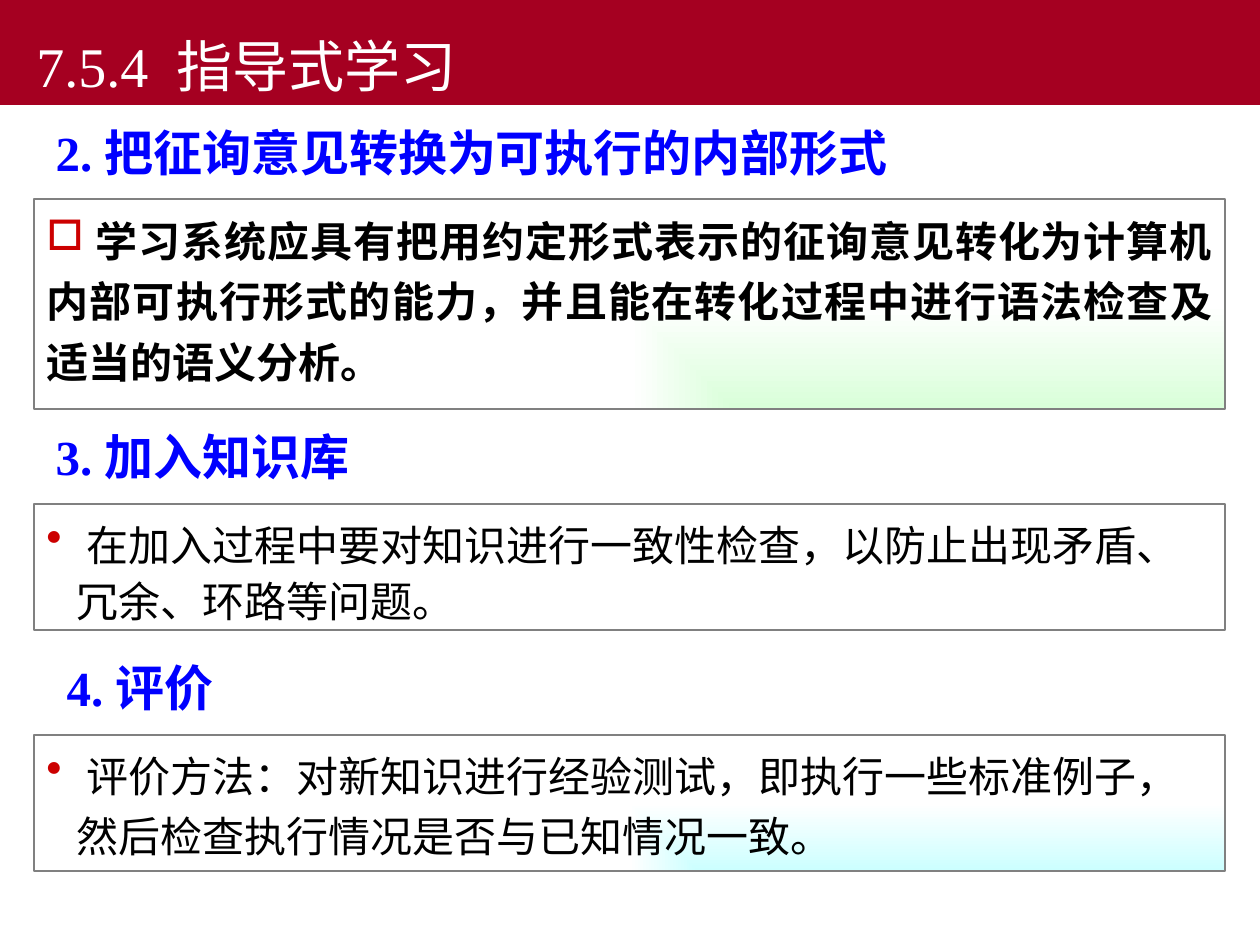
from lxml import etree
from pptx import Presentation
from pptx.dml.color import RGBColor
from pptx.enum.shapes import MSO_SHAPE
from pptx.enum.text import MSO_ANCHOR, PP_ALIGN
from pptx.oxml import parse_xml
from pptx.oxml.ns import nsdecls, qn
from pptx.util import Pt

RECTANGLE = MSO_SHAPE.RECTANGLE
TOP, BOTTOM = MSO_ANCHOR.TOP, MSO_ANCHOR.BOTTOM
LEFT, JUSTIFY = PP_ALIGN.LEFT, PP_ALIGN.JUSTIFY
PX = 914400 / 126
SERIF, SANS, CJK = "Times New Roman", "Arial", "Noto Sans CJK SC"
COLORS = {
    "banner": "A50021", "white": "FFFFFF", "black": "000000",
    "heading": "0000FF", "bullet": "CC0000", "border": "808080",
    "green": "D9FFD9", "cyan": "CCFFFF",
}


def px(value):
    return round(value * PX)


def write(box, spans, color="black", bold=False, align=LEFT, spacing=1.0,
          bullet=None, margin=0, indent=0, anchor=TOP):
    """Fill a box with one paragraph made of (text, size, font) spans."""
    frame = box.text_frame
    frame.word_wrap = True
    frame.vertical_anchor = anchor
    para = frame.paragraphs[0]
    para.alignment = align
    para.line_spacing = spacing
    props = para._p.get_or_add_pPr()
    props.set("marL", str(px(margin)))
    props.set("indent", str(px(indent)))
    if bullet:
        tint = etree.SubElement(props, qn("a:buClr"))
        etree.SubElement(tint, qn("a:srgbClr")).set("val", COLORS["bullet"])
        etree.SubElement(props, qn("a:buChar")).set("char", bullet)
    for text, size, font in spans:
        span = para.add_run()
        span.text = text
        span.font.size = Pt(size)
        span.font.bold = bold
        span.font.name = font
        span.font.color.rgb = RGBColor.from_string(COLORS[color])
        east_asian = etree.SubElement(span._r.get_or_add_rPr(), qn("a:ea"))
        east_asian.set("typeface", CJK)


deck = Presentation()
deck.slide_width, deck.slide_height = px(1260), px(945)
page = deck.slides.add_slide(deck.slide_layouts[6])

# Title banner
banner = page.shapes.add_shape(RECTANGLE, 0, 0, px(1260), px(105))
banner.shadow.inherit = False
banner.fill.solid()
banner.fill.fore_color.rgb = RGBColor.from_string(COLORS["banner"])
banner.line.fill.background()
write(banner, [("7.5.4  指导式学习", 32, SERIF)], color="white",
      indent=24, anchor=BOTTOM)

# Framed panels: top, height, corner tint, spans, paragraph format
hanging = {"bullet": "•", "spacing": 1.1, "margin": 30, "indent": -30}
panels = [
    (199, 210, "green",
     [(" 学习系统应具有把用约定形式表示的征询意见转化为计算机内部可执行形式的能力，"
       "并且能在转化过程中进行语法检查及适当的语义分析。", 24, SANS)],
     {"bullet": "□", "spacing": 1.2, "bold": True, "align": JUSTIFY}),
    (504, 126, None,
     [(" ", 26, SERIF),
      ("在加入过程中要对知识进行一致性检查，以防止出现矛盾、冗余、环路等问题。", 24, SERIF)],
     hanging),
    (735, 136, "cyan",
     [(" ", 26, CJK),
      ("评价方法：对新知识进行经验测试，即执行一些标准例子，"
       "然后检查执行情况是否与已知情况一致。", 24, CJK),
      (" ", 26, SANS)],
     hanging),
]
for top, height, tint, spans, style in panels:
    panel = page.shapes.add_shape(RECTANGLE, px(34), px(top), px(1191), px(height))
    panel.shadow.inherit = False
    panel.fill.solid()
    panel.fill.fore_color.rgb = RGBColor.from_string(COLORS["white"])
    if tint:
        # Tint that spreads from the lower right corner
        solid = panel._element.spPr.find(qn("a:solidFill"))
        solid.getparent().replace(solid, parse_xml(
            f'<a:gradFill {nsdecls("a")} rotWithShape="1"><a:gsLst>'
            f'<a:gs pos="0"><a:srgbClr val="{COLORS[tint]}"/></a:gs>'
            f'<a:gs pos="100000"><a:srgbClr val="{COLORS["white"]}"/></a:gs>'
            '</a:gsLst><a:path path="rect"><a:fillToRect l="100000" t="100000"/>'
            '</a:path></a:gradFill>'))
    panel.line.color.rgb = RGBColor.from_string(COLORS["border"])
    panel.line.width = Pt(0.75)
    write(panel, spans, **style)

# Numbered headings
headings = [
    (31, 116, " 2. ", "把征询意见转换为可执行的内部形式"),
    (31, 420, " 3. ", "加入知识库"),
    (42, 651, " 4. ", "评价"),
]
for left, top, number, text in headings:
    heading = page.shapes.add_textbox(px(left), px(top), px(903), px(72))
    write(heading, [(number, 28, SERIF), (text, 28, CJK)],
          color="heading", bold=True)

deck.save("out.pptx")
